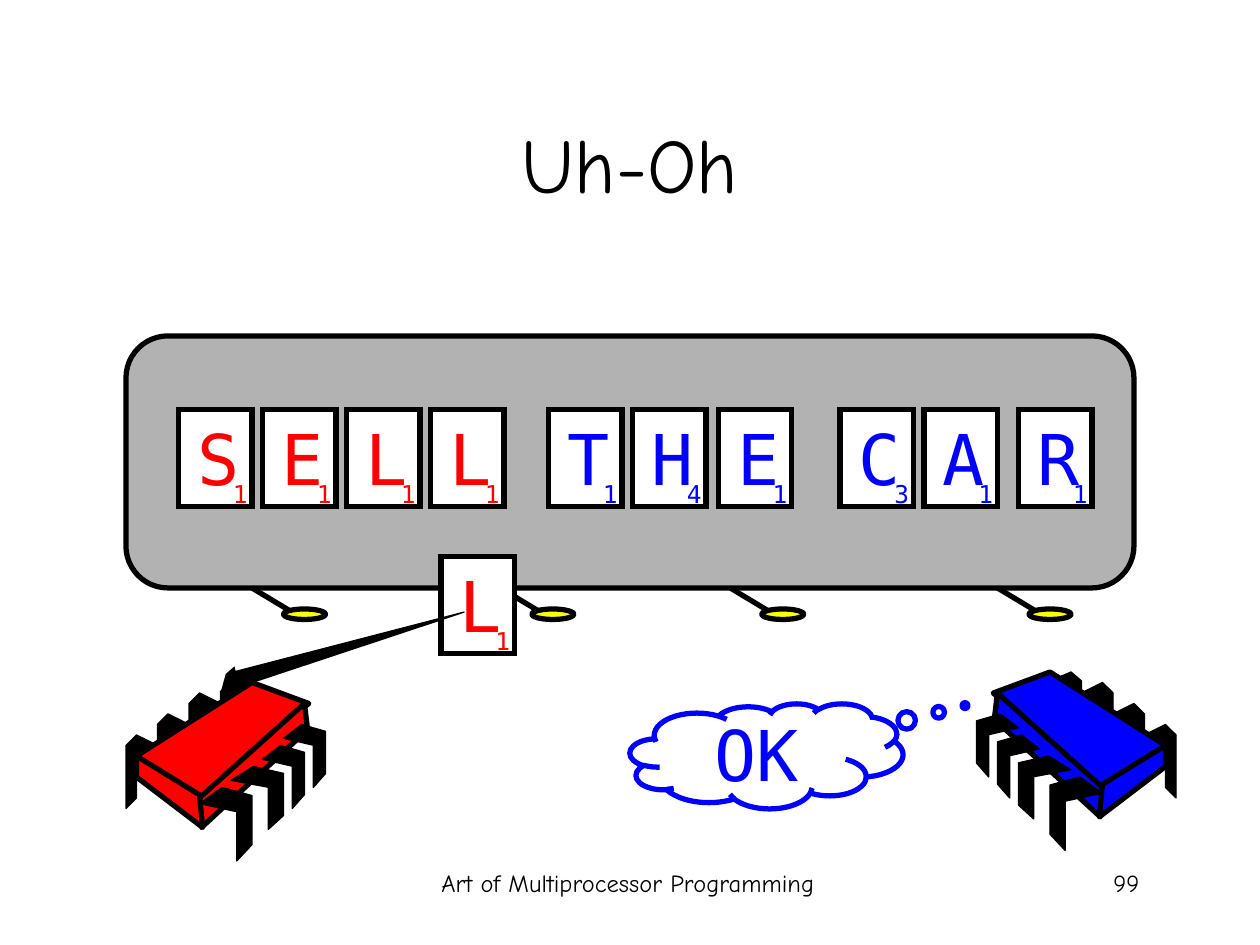
from typing import NamedTuple

from lxml.etree import SubElement as Sub
from pptx import Presentation as Deck
from pptx.dml.color import RGBColor as Rgb
from pptx.enum.shapes import MSO_CONNECTOR as Link, MSO_SHAPE as Kind
from pptx.enum.text import MSO_ANCHOR as Anchor, PP_ALIGN as Align
from pptx.oxml.ns import qn
from pptx.util import Inches, Pt

COLS, ROWS = 120, 90
CELL = Inches(10) // COLS
BLACK, WHITE, GRAY = "000000", "FFFFFF", "B2B2B2"
RED, BLUE, GOLD = "FF0000", "0000FF", "FFFF00"
HAND, MONO = "Comic Neue", "DejaVu Sans Mono"


class Box(NamedTuple):
    x: float
    y: float
    w: float
    h: float


class Tile(NamedTuple):
    x: float
    mark: str
    score: str
    hue: str
    y: float = 39


class Face(NamedTuple):
    dots: list
    hue: str
    width: float


class Label(NamedTuple):
    box: Box
    text: str
    size: int
    align: Align
    anchor: Anchor


TILES = [
    *(Tile(17 + 8 * i, mark, "1", RED) for i, mark in enumerate("SELL")),
    Tile(52.25, "T", "1", BLUE),
    Tile(60.25, "H", "4", BLUE),
    Tile(68.4, "E", "1", BLUE),
    Tile(80, "C", "3", BLUE),
    Tile(88, "A", "1", BLUE),
    Tile(97, "R", "1", BLUE),
    Tile(42, "L", "1", RED, 53),
]
FEET = [24, 47.65, 69.55, 95]
FAR_LEG = [(1, 1 / 7), (1 / 3, 0), (0, 1 / 7), (0, 1), (1 / 3, 6 / 7), (1 / 3, 2 / 7), (1, 3 / 7)]
NEAR_LEG = [(0.43, 0), (0, 0.22), (0.71, 0.33), (0.71, 1), (1, 0.78), (1, 0.11)]
FAR = [Box(12, 70, 3, 7), Box(15, 68, 3, 7), Box(18, 66, 3, 7), Box(21, 65, 3, 6)]
NEAR = [Box(19, 75, 5, 7), Box(22, 73, 5, 6), Box(25, 71, 4, 6), Box(27, 69, 4, 6)]
BODY = [
    [(24, 65), (13, 72), (19.2, 76.2), (29.4, 67)],
    [(29, 67), (19, 76), (19.2, 78.8), (29.3, 69.5)],
    [(13, 72), (13, 74), (19.3, 78.8), (19, 75.7)],
]
ARROW = [(21, 66), (44.2, 58.3), (21.5, 64.2)]
LABELS = [
    Label(Box(40.8, 82.1, 38, 6), "Art of Multiprocessor Programming", 14, Align.CENTER, Anchor.TOP),
    Label(Box(84.7, 82.1, 25, 6), "99", 14, Align.RIGHT, Anchor.TOP),
    Label(Box(9, 8, 102, 15), "Uh-Oh", 44, Align.CENTER, Anchor.MIDDLE),
]


def grid(*cells: float) -> list[int]:
    return [round(n * CELL) for n in cells]


def tint(part, hue: str) -> None:
    part.solid()
    part.fore_color.rgb = Rgb.from_string(hue)


def ink(line, hue: str, width: float, join: str) -> None:
    tint(line.fill, hue)
    line.width = Pt(width)
    Sub(line._get_or_add_ln(), qn(f"a:{join}"))


def write(shape, text: str, font: str, size: int, hue: str, align: Align,
          anchor: Anchor = Anchor.TOP, wrap: bool = True) -> None:
    frame = shape.text_frame
    frame.word_wrap = wrap
    frame.vertical_anchor = anchor
    frame.margin_left = frame.margin_right = Inches(0.1)
    frame.margin_top = frame.margin_bottom = Inches(0.05)
    para = frame.paragraphs[0]
    para.text, para.alignment = text, align
    para.font.name, para.font.size = font, Pt(size)
    para.font.color.rgb = Rgb.from_string(hue)


def block(shapes, kind: Kind, box: Box, fill: str | None, hue: str = BLACK, join: str = "round"):
    shape = shapes.add_shape(kind, *grid(*box))
    shape.shadow.inherit = False
    if fill:
        tint(shape.fill, fill)
    else:
        shape.fill.background()
    ink(shape.line, hue, 3, join)
    return shape


def trace(shapes, face: Face, close: bool = True):
    dots = [tuple(grid(*dot)) for dot in face.dots]
    pen = shapes.build_freeform(*dots[0], scale=1.0)
    pen.add_line_segments(dots[1:], close=close)
    shape = pen.convert_to_shape()
    shape.shadow.inherit = False
    tint(shape.fill, face.hue)
    ink(shape.line, BLACK, face.width, "round")
    return shape


def leg(box: Box, form: list) -> Face:
    return Face([(box.x + u * box.w, box.y + v * box.h) for u, v in form], BLACK, 0.75)


def chip(shapes, hue: str, flip: bool) -> None:
    faces = [leg(box, FAR_LEG) for box in FAR]
    faces += [Face(dots, hue, 3) for dots in BODY]
    faces += [leg(box, NEAR_LEG) for box in NEAR]
    for face in faces:
        if flip:
            face = face._replace(dots=[(COLS + 4 - x, y - 1) for x, y in face.dots])
        trace(shapes, face)


def foot(shapes, x: float) -> None:
    line = shapes.add_connector(Link.STRAIGHT, *grid(x, 56, x + 5, 59))
    ink(line.line, BLACK, 3, "round")
    Sub(line._element.spPr, qn("a:effectLst"))
    block(shapes, Kind.OVAL, Box(x + 3, 58, 4, 1), GOLD)


def place(shapes, tile: Tile) -> None:
    card = block(shapes, Kind.RECTANGLE, Box(tile.x, tile.y, 7, 9.25), WHITE, join="miter")
    write(card, tile.mark, MONO, 40, tile.hue, Align.RIGHT)
    note = shapes.add_textbox(*grid(tile.x + 4, tile.y + 6, 3.75, 4))
    write(note, tile.score, MONO, 14, tile.hue, Align.RIGHT, wrap=False)


def main() -> None:
    deck = Deck()
    deck.slide_width, deck.slide_height = grid(COLS, ROWS)
    shapes = deck.slides.add_slide(deck.slide_layouts[6]).shapes
    for item in LABELS:
        area = shapes.add_textbox(*grid(*item.box))
        write(area, item.text, HAND, item.size, BLACK, item.align, item.anchor)
    board = block(shapes, Kind.ROUNDED_RECTANGLE, Box(12, 32, 96, 24), GRAY)
    board.adjustments[0] = 1 / 6
    for x in FEET:
        foot(shapes, x)
    chip(shapes, RED, False)
    for tile in TILES:
        place(shapes, tile)
    chip(shapes, BLUE, True)
    cloud = block(shapes, Kind.CLOUD_CALLOUT, Box(60, 67, 26, 10), None, BLUE)
    cloud.adjustments[0], cloud.adjustments[1] = 8 / 11, -0.48
    write(cloud, "OK", MONO, 40, BLUE, Align.CENTER, Anchor.MIDDLE)
    arrow = trace(shapes, Face(ARROW, BLACK, 0.75), False)
    Sub(arrow.line._get_or_add_ln(), qn("a:tailEnd"), type="triangle")
    deck.save("out.pptx")


if __name__ == "__main__":
    main()
